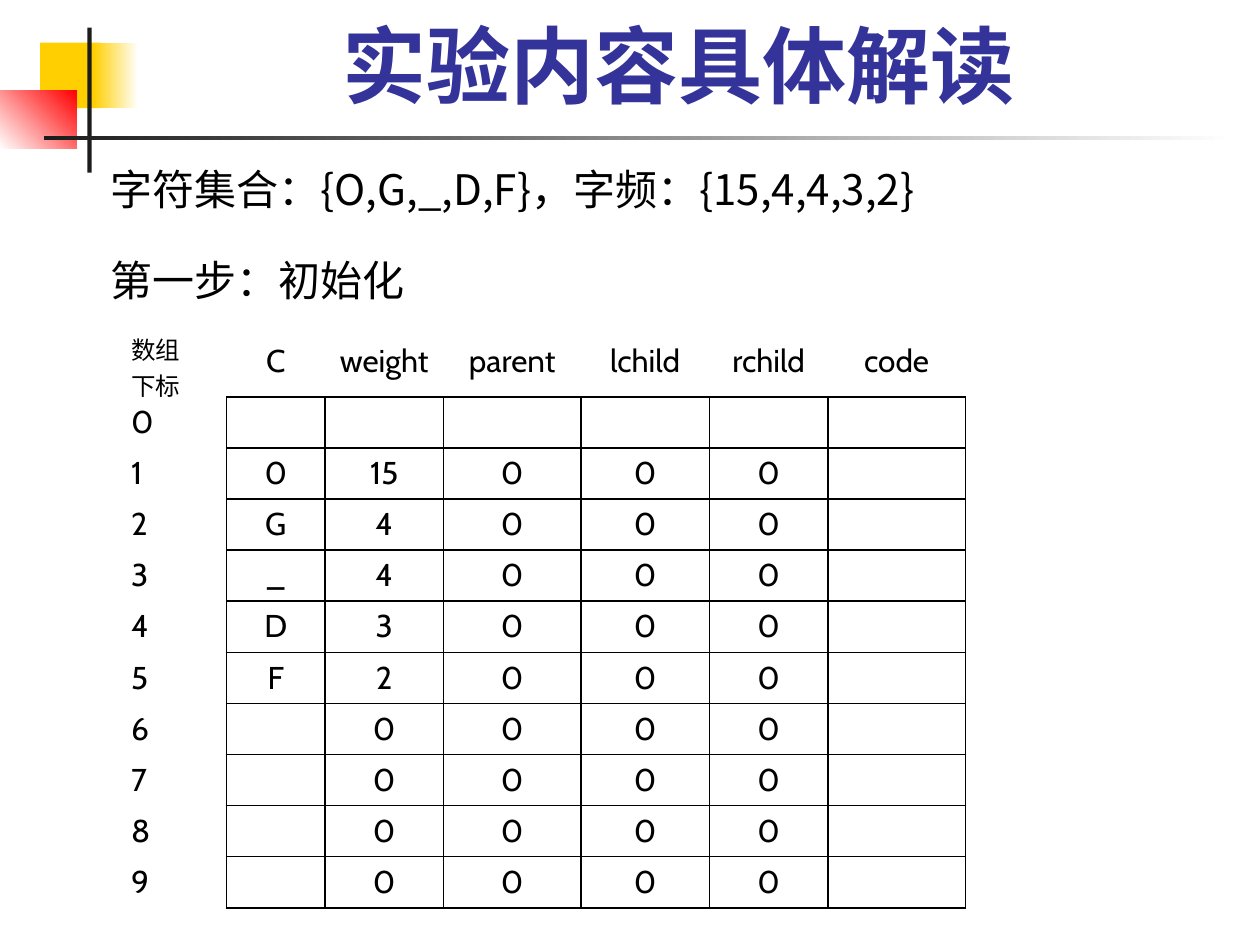
"""Build the slide showing the initial Huffman array table."""
import pptx
import pptx.dml.color
import pptx.enum.shapes
import pptx.enum.text
import pptx.oxml
import pptx.oxml.ns
import pptx.util

Cm, Pt = pptx.util.Cm, pptx.util.Pt
ALIGN, ANCHOR = pptx.enum.text.PP_ALIGN, pptx.enum.text.MSO_ANCHOR
COLORS = {"yellow": "FFCF01", "red": "FF0000", "dark": "1C1C1C",
          "white": "FFFFFF", "title": "333399", "text": "000000"}
LATIN, CJK = "Cabin", "Noto Sans CJK SC"


def style(p, size, name=LATIN, color="text", align=ALIGN.LEFT):
    p.alignment = align
    p.font.size = Pt(size)
    p.font.name = name
    p.font.color.rgb = pptx.dml.color.RGBColor.from_string(COLORS[color])


def add_border(cell, side, visible):
    fill = (f'<a:solidFill><a:srgbClr val="{COLORS["text"]}"/></a:solidFill>'
            if visible else "<a:noFill/>")
    cell._tc.get_or_add_tcPr().append(pptx.oxml.parse_xml(
        f'<a:ln{side} {pptx.oxml.ns.nsdecls("a")} w="12700">{fill}</a:ln{side}>'))


prs = pptx.Presentation()
prs.slide_width, prs.slide_height = Cm(25.4), Cm(19.05)
s = prs.slides.add_slide(prs.slide_layouts[6])

decorations = [
    (0.81, 0.86, 1.22, 1.32, ["yellow"], 0),
    (1.88, 0.86, 0.91, 1.32, ["yellow", "white"], 0),
    (0, 1.83, 1.55, 1.17, ["white", "red"], 45),
    (1.76, 0.56, 0.09, 2.92, ["dark"], 0),
    (0.89, 2.74, 24, 0.09, ["dark", "white"], 0),
]
for x, y, w, h, names, angle in decorations:
    sp = s.shapes.add_shape(pptx.enum.shapes.MSO_SHAPE.RECTANGLE,
                            Cm(x), Cm(y), Cm(w), Cm(h))
    sp.shadow.inherit = False
    sp.line.fill.background()
    rgbs = [pptx.dml.color.RGBColor.from_string(COLORS[n]) for n in names]
    if len(rgbs) == 1:
        sp.fill.solid()
        sp.fill.fore_color.rgb = rgbs[0]
    else:
        sp.fill.gradient()
        sp.fill.gradient_angle = angle
        for stop, rgb in zip(sp.fill.gradient_stops, rgbs):
            stop.color.rgb = rgb

tf = s.shapes.add_textbox(Cm(2.74), Cm(0.53), Cm(21.87), Cm(1.91)).text_frame
tf.word_wrap = True
tf.vertical_anchor = ANCHOR.BOTTOM
p = tf.paragraphs[0]
p.text = "实验内容具体解读"
style(p, 48, color="title", align=ALIGN.CENTER)
p.font.bold = True

symbols = ["0", "G", "_", "D", "F", "", "", "", ""]
weights = [15, 4, 4, 3, 2, 0, 0, 0, 0]
rows = [["数组\n下标", "C", "weight", "parent", "lchild", "rchild", "code"],
        ["0"] + [""] * 6]
for i, (symbol, weight) in enumerate(zip(symbols, weights), 1):
    rows.append([str(i), symbol, str(weight), "0", "0", "0", ""])
widths = [2.18, 1.98, 2.39, 2.77, 2.59, 2.39, 2.77]

table = s.shapes.add_table(len(rows), len(widths), Cm(2.39), Cm(6.55),
                           Cm(sum(widths)), Cm(11.73)).table
table.first_row = table.horz_banding = False
for column, width in zip(table.columns, widths):
    column.width = Cm(width)
for i, values in enumerate(rows):
    table.rows[i].height = Cm(1.03 if i else 1.45)
    for j, value in enumerate(values):
        cell = table.cell(i, j)
        cell.text = value
        cell.vertical_anchor = ANCHOR.TOP if i else ANCHOR.MIDDLE
        for p in cell.text_frame.paragraphs:
            if i == j == 0:
                style(p, 14, CJK)
            else:
                style(p, 18, align=ALIGN.CENTER if j else ALIGN.LEFT)
        boxed = i > 0 and j > 0
        for side, visible in [("L", boxed), ("R", i > 0), ("T", boxed), ("B", j > 0)]:
            add_border(cell, side, visible)
        cell.fill.background()

tf = s.shapes.add_textbox(Cm(1.98), Cm(3.18), Cm(18.85), Cm(3.33)).text_frame
tf.word_wrap = True
tf.text = "字符集合：{O,G,_,D,F}，字频：{15,4,4,3,2}\n第一步：初始化"
for p in tf.paragraphs:
    style(p, 24, CJK)
tf.paragraphs[1].space_before = Pt(23)

prs.save("out.pptx")
